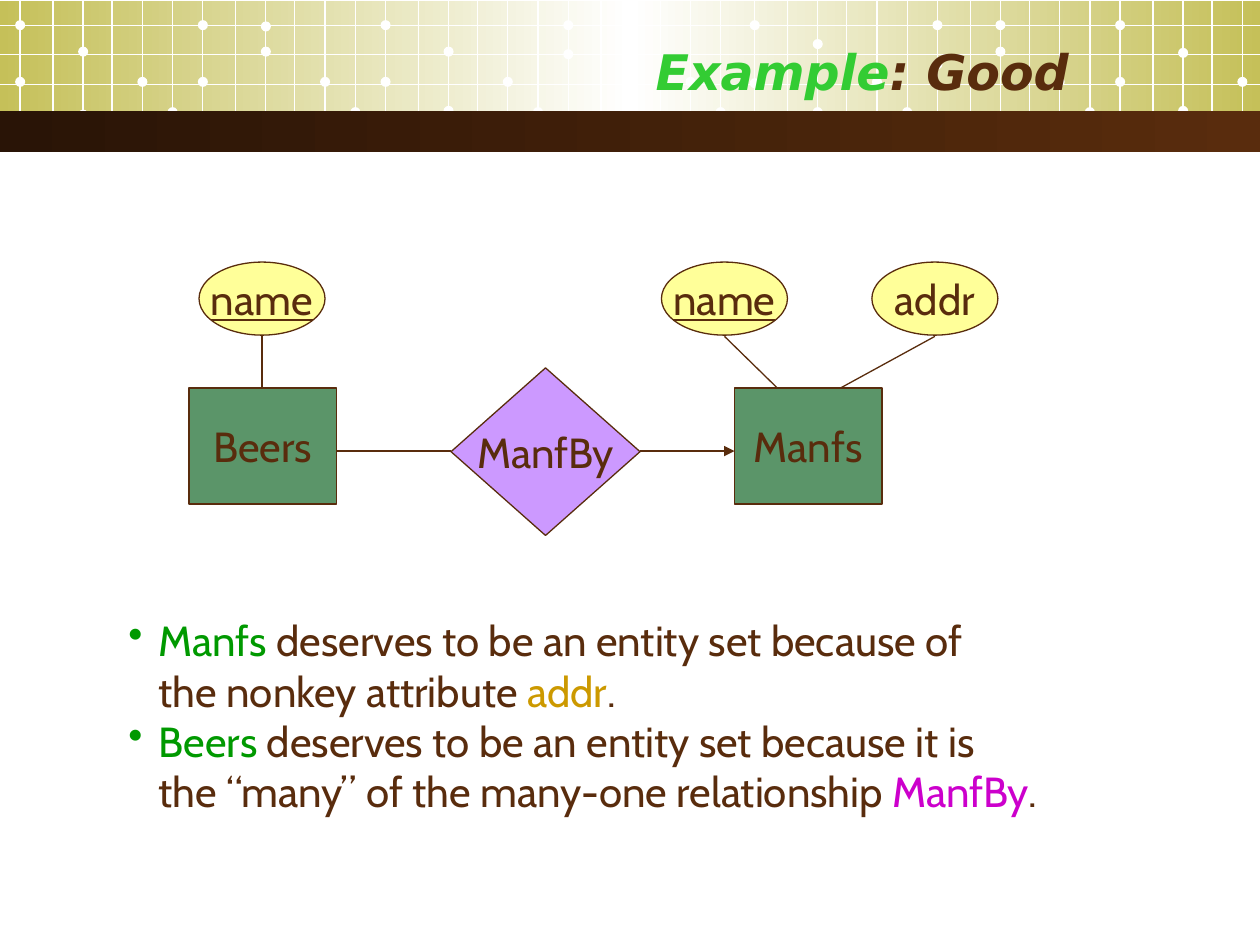
from lxml.etree import SubElement
from pptx import Presentation
from pptx.dml.color import RGBColor
from pptx.enum.shapes import MSO_CONNECTOR as Link, MSO_SHAPE as Form
from pptx.enum.text import MSO_ANCHOR as Anchor, PP_ALIGN as Align
from pptx.oxml.ns import qn
from pptx.util import Inches, Pt

BROWN, WHITE, GREEN, OLIVE = "592C0D", "FFFFFF", "009900", "C5C059"
YELLOW, LILAC, SAGE = "FFFF99", "CC99FF", "5B9569"


def color(code):
    return RGBColor.from_string(code)


def write(para, text, font="Cabin", size=24, tint=BROWN, **marks):
    """Add one run; marks are font flags such as bold or underline."""
    run = para.add_run()
    run.text = text
    run.font.name, run.font.size = font, Pt(size)
    run.font.color.rgb = color(tint)
    for mark, value in marks.items():
        setattr(run.font, mark, value)


class Board:
    def __init__(self, slide, ink=BROWN, width=0.75):
        self.slide, self.ink, self.width = slide, ink, width

    def shape(self, form, x, y, w, h, fill=None, line=None):
        item = self.slide.shapes.add_shape(form, *map(Inches, (x, y, w, h)))
        item.shadow.inherit = False
        if fill:
            item.fill.solid()
            item.fill.fore_color.rgb = color(fill)
        if line:
            item.line.color.rgb = color(line)
            item.line.width = Pt(self.width)
        else:
            item.line.fill.background()
        return item

    def band(self, y, h, *tints):
        """Draw a full-width bar shaded evenly from left to right."""
        bar = self.shape(Form.RECTANGLE, 0, y, 10, h)
        bar.fill.gradient()
        bar.fill.gradient_angle = 0
        stops = next(bar._element.iter(qn("a:gsLst")))
        stops.clear()
        for i, tint in enumerate(tints):
            pos = 100000 * i // (len(tints) - 1)
            stop = SubElement(stops, qn("a:gs"), pos=str(pos))
            SubElement(stop, qn("a:srgbClr"), val=tint)

    def node(self, form, x, y, w, h, fill, label, **marks):
        item = self.shape(form, x, y, w, h, fill, self.ink)
        frame = item.text_frame
        frame.word_wrap = False
        frame.vertical_anchor = Anchor.MIDDLE
        para = frame.paragraphs[0]
        para.alignment = Align.CENTER
        write(para, label, **marks)

    def line(self, x1, y1, x2, y2, tint=None, arrow=False):
        ends = map(Inches, (x1, y1, x2, y2))
        item = self.slide.shapes.add_connector(Link.STRAIGHT, *ends)
        item.line.color.rgb = color(tint or self.ink)
        item.line.width = Pt(self.width)
        props = item._element.spPr
        if arrow:
            SubElement(props.find(qn("a:ln")), qn("a:tailEnd"), type="triangle")
        SubElement(props, qn("a:effectLst"))

    def text(self, x, y, w, h):
        box = self.slide.shapes.add_textbox(*map(Inches, (x, y, w, h)))
        box.text_frame.word_wrap = True
        return box.text_frame

    def bullets(self, x, y, w, h, items):
        """Write bulleted items; each is a list of lines of (text, tint)."""
        frame = self.text(x, y, w, h)
        for i, lines in enumerate(items):
            para = frame.add_paragraph() if i else frame.paragraphs[0]
            props = para._p.get_or_add_pPr()
            indent = Inches(0.24)
            props.set("marL", str(indent))
            props.set("indent", str(-indent))
            tone = SubElement(props, qn("a:buClr"))
            SubElement(tone, qn("a:srgbClr"), val=GREEN)
            SubElement(props, qn("a:buChar"), char="•")
            for j, line in enumerate(lines):
                if j:
                    para.add_line_break()
                for text, tint in line:
                    write(para, text, tint=tint)


def header(board):
    board.band(0.01, 1.02, OLIVE, WHITE, OLIVE)
    steps = (0, 0.26, 0.5, 0.73, 0.97, 1.21)
    # Each block of the grid: left edge, then dot tops at steps 0, 2 and 2.
    blocks = (
        (0.16, 0.61, 0.37, 0.87), (1.61, 0.61, 0.37, 0.17),
        (3.06, 0.61, 0.37, 0.84), (4.51, 0.39, 0.38, 0.16),
        (5.99, 0.62, 0.31, 0.85), (7.44, 0.47, 0.37, 0.16),
        (8.89, 0.61, 0.38, 0.84),
    )
    for left, first, mid, low in blocks:
        for x in (left + step for step in steps):
            if x < 10:
                board.line(x, 0, x, 1.1, WHITE)
        dots = ((0, 0.16), (0, first), (2, mid), (2, low), (4, 0.61), (5, 0.85))
        for col, top in dots:
            x = left + steps[col]
            if x < 10:
                board.shape(Form.OVAL, x - 0.04, top, 0.08, 0.08, WHITE)
    for y in (0.2, 0.43, 0.67, 0.89):
        board.line(0, y, 10, y, WHITE)
    board.band(0.88, 0.33, "291406", BROWN)

    frame = board.text(0.5, 0.25, 8.08, 0.62)
    frame.vertical_anchor = Anchor.MIDDLE
    para = frame.paragraphs[0]
    para.alignment = Align.RIGHT
    for text, tint in (("Example", "33CC33"), (": Good", BROWN)):
        write(para, text, "DejaVu Sans", 28, tint, bold=True, italic=True)


def diagram(board):
    for x, label in ((1.5, "Beers"), (5.83, "Manfs")):
        board.node(Form.RECTANGLE, x, 3.08, 1.17, 0.92, SAGE, label)
    board.node(Form.DIAMOND, 3.58, 2.92, 1.5, 1.33, LILAC, "ManfBy")
    board.line(3.58, 3.58, 2.67, 3.58)
    board.line(5.08, 3.58, 5.83, 3.58, arrow=True)
    fields = ((1.58, "name", True, 2.08), (5.25, "name", True, 6.17),
              (6.92, "addr", False, 6.67))
    for x, label, key, end in fields:
        board.node(Form.OVAL, x, 2.08, 1, 0.58, YELLOW, label, underline=key)
        board.line(x + 0.5, 2.67, end, 3.08)


def main():
    deck = Presentation()
    deck.slide_width, deck.slide_height = Inches(10), Inches(7.5)
    board = Board(deck.slides.add_slide(deck.slide_layouts[6]))
    header(board)
    diagram(board)
    board.bullets(0.92, 4.83, 7.52, 2.1, [
        [[("Manfs", GREEN), (" deserves to be an entity set because of", BROWN)],
         [("the nonkey attribute ", BROWN), ("addr", "CC9900"), (".", BROWN)]],
        [[("Beers", GREEN), (" deserves to be an entity set because it is", BROWN)],
         [("the “many” of the many-one relationship ", BROWN),
          ("ManfBy", "CC00CC"), (".", BROWN)]],
    ])
    deck.save("out.pptx")


if __name__ == "__main__":
    main()
